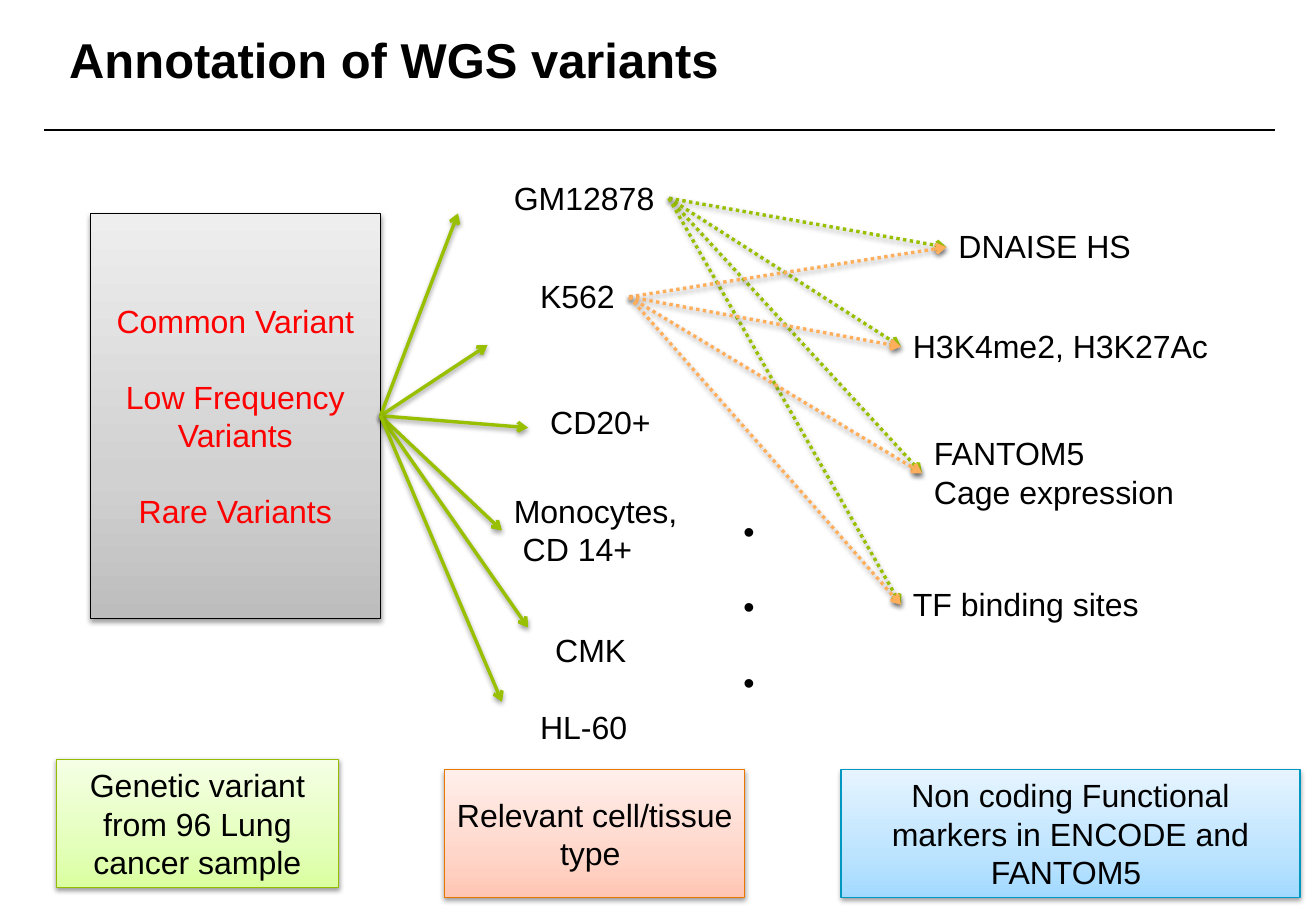
from pptx import Presentation
from pptx.dml.color import RGBColor
from pptx.enum.dml import MSO_LINE_DASH_STYLE as Dash
from pptx.enum.shapes import MSO_CONNECTOR as Connector, MSO_SHAPE as Preset
from pptx.enum.text import MSO_ANCHOR as Anchor, MSO_AUTO_SIZE as AutoSize, PP_ALIGN as Align
from pptx.oxml import parse_xml
from pptx.oxml.ns import nsdecls, qn
from pptx.util import Pt
from copy import deepcopy
from lxml.etree import SubElement

COLORS = {
    "black": "000000",
    "red": "FF0000",
    "green": "98C000",
    "orange": "FFAF5C",
    "variants": ["BDBDBD", "D1D1D1", "EEEEEE"],
    "sample": ["DAFFA0", "E4FFBC", "F5FFE5"],
    "tissue": ["FFC6B4", "FFD7CA", "FFEFEB"],
    "markers": ["A2DAFF", "BDE4FF", "E6F4FF"],
    "sample line": "95BC00",
    "tissue line": "E97600",
    "markers line": "0097C1",
}
LINE_GAP = 22


def write_text(shape, text, size=19, color="black", bold=False, align=Align.LEFT,
               anchor=Anchor.TOP, wrap=True, gap=0):
    frame = shape.text_frame
    frame.word_wrap = wrap
    frame.vertical_anchor = anchor
    frame.auto_size = AutoSize.NONE if wrap else AutoSize.SHAPE_TO_FIT_TEXT
    frame.text = text
    for index, paragraph in enumerate(frame.paragraphs):
        paragraph.alignment = align
        paragraph.space_before = Pt(gap if index else 0)
        font = paragraph.runs[0].font
        font.name, font.size, font.bold = "Arial", Pt(size), bold
        font.color.rgb = RGBColor.from_string(COLORS[color])


def add_shadow(shape):
    shape._element.spPr.append(parse_xml(
        f'<a:effectLst {nsdecls("a")}>'
        '<a:outerShdw blurRad="39370" dist="20320" dir="5400000" rotWithShape="0">'
        '<a:srgbClr val="000000"><a:alpha val="38000"/></a:srgbClr>'
        '</a:outerShdw></a:effectLst>'))


presentation = Presentation()
presentation.slide_width, presentation.slide_height = Pt(780), Pt(540)
slide = presentation.slides.add_slide(presentation.slide_layouts[6])
shapes = slide.shapes

rule = shapes.add_connector(Connector.STRAIGHT, Pt(26), Pt(77), Pt(755.5), Pt(77))
rule.line.width = Pt(1)
rule.line.color.rgb = RGBColor.from_string(COLORS["black"])
SubElement(rule._element.spPr, qn("a:effectLst"))

title = shapes.add_textbox(Pt(41), Pt(17.5), Pt(702), Pt(90))
write_text(title, "Annotation of WGS variants", size=29, bold=True)
title.text_frame.margin_left = title.text_frame.margin_top = 0

boxes = {}
for name, text, line_color, text_color, left, top, width, height in [
    ("variants", "Common Variant\nLow Frequency Variants\nRare Variants",
     "black", "red", 53.5, 126.5, 172, 240),
    ("sample", "Genetic variant from 96 Lung cancer sample",
     "sample line", "black", 33.5, 450, 167, 76),
    ("tissue", "Relevant cell/tissue type ",
     "tissue line", "black", 263.5, 456, 178, 76),
    ("markers", "Non coding Functional markers in ENCODE and FANTOM5 ",
     "markers line", "black", 498.5, 456, 272, 76),
]:
    box = shapes.add_shape(Preset.RECTANGLE, Pt(left), Pt(top), Pt(width), Pt(height))
    box.fill.gradient()
    box.fill.gradient_angle = 90
    stop_list = box._element.spPr.find(".//" + qn("a:gsLst"))
    stop_list.insert(1, deepcopy(stop_list[0]))
    for stop, position, color in zip(box.fill.gradient_stops, (0, 0.35, 1), COLORS[name]):
        stop.position = position
        stop.color.rgb = RGBColor.from_string(color)
    box.line.width = Pt(0.75)
    box.line.color.rgb = RGBColor.from_string(COLORS[line_color])
    add_shadow(box)
    write_text(box, text, color=text_color, align=Align.CENTER, anchor=Anchor.MIDDLE,
               gap=LINE_GAP)
    boxes[name] = box

labels = {}
for text, left, top, width, height in [
    ("GM12878", 297.5, 102, 99, 31),
    ("K562", 313, 160.5, 60, 31),
    ("CD20+", 319, 235, 75.5, 31),
    ("Monocytes,\n CD 14+", 297.5, 287.5, 113, 54),
    ("CMK", 322, 370, 70.5, 31),
    ("HL-60", 313, 416, 67.5, 31),
    ("DNAISE HS", 561, 131, 119, 31),
    ("H3K4me2, H3K27Ac", 534, 190, 192, 31),
    ("FANTOM5\nCage expression", 546.5, 253.5, 159, 54),
    ("TF binding sites", 534, 343, 150.5, 31),
]:
    label = shapes.add_textbox(Pt(left), Pt(top), Pt(width), Pt(height))
    write_text(label, text, wrap=False)
    labels[text.split("\n")[0]] = label

dots = shapes.add_textbox(Pt(433.5), Pt(299.5), Pt(50), Pt(122))
write_text(dots, "•\n•\n•", gap=LINE_GAP)

cell_ends = [(271.5, 126.5), (289, 204.5), (313, 253.5), labels["Monocytes,"],
             (313, 372), (297.5, 416)]
marker_ends = [labels[name] for name in
               ("DNAISE HS", "H3K4me2, H3K27Ac", "FANTOM5", "TF binding sites")]
for source, color, dash, ends in [
    (boxes["variants"], "green", Dash.SOLID, cell_ends),
    (labels["GM12878"], "green", Dash.ROUND_DOT, marker_ends),
    (labels["K562"], "orange", Dash.ROUND_DOT, marker_ends),
]:
    for end in ends:
        is_point = isinstance(end, tuple)
        x, y = end if is_point else (0, 0)
        arrow = shapes.add_connector(Connector.STRAIGHT, 0, 0, Pt(x), Pt(y))
        arrow.begin_connect(source, 3)
        if not is_point:
            arrow.end_connect(end, 1)
        arrow.line.width = Pt(2)
        arrow.line.color.rgb = RGBColor.from_string(COLORS[color])
        arrow.line.dash_style = dash
        SubElement(arrow._element.spPr.find(qn("a:ln")), qn("a:tailEnd"), type="arrow")
        add_shadow(arrow)

presentation.save("out.pptx")
